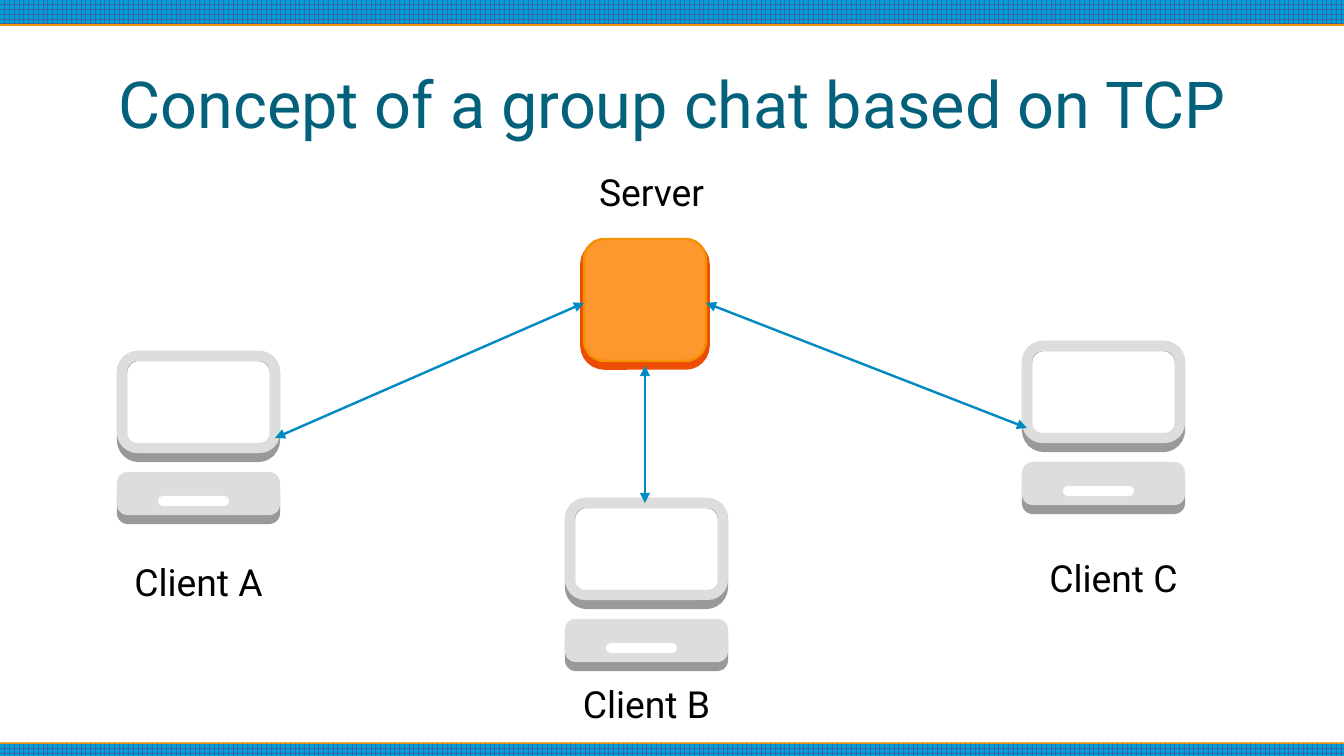
from collections import namedtuple
from dataclasses import dataclass

from lxml import etree
from pptx import Presentation
from pptx import util as u
from pptx.dml.color import RGBColor
from pptx.enum import dml, shapes, text
from pptx.oxml import ns

PX = 7495
Box = namedtuple("Box", "x y w h")


@dataclass(frozen=True)
class Theme:
    font: str = "Roboto"
    title_size: float = 38.2
    label_size: float = 22
    title: str = "04617B"
    label: str = "000000"
    band: str = "009EDA"
    grid: str = "3465A4"
    accent: str = "F49100"
    server: str = "FF972F"
    server_base: str = "FFB66C"
    server_edge: str = "ED4C05"
    case: str = "DDDDDD"
    case_edge: str = "999999"
    slot: str = "FFFFFF"
    link: str = "008AC2"
    thin: float = 1.42
    medium: float = 4.5
    thick: float = 6


THEME = Theme()


def rgb(value):
    return RGBColor.from_string(value)


def emu(*lengths):
    return [u.Emu(length * PX) for length in lengths]


def add_rounded(parent, box, fill, line, width):
    shape = parent.shapes.add_shape(shapes.MSO_SHAPE.ROUNDED_RECTANGLE, *emu(*box))
    shape.shadow.inherit = False
    if fill:
        shape.fill.solid()
        shape.fill.fore_color.rgb = rgb(fill)
    else:
        shape.fill.background()
    shape.line.color.rgb = rgb(line)
    shape.line.width = u.Pt(width)
    etree.SubElement(shape.element.spPr.find(ns.qn("a:ln")), ns.qn("a:round"))


def add_text(page, box, words, size, color, inset):
    frame = page.shapes.add_textbox(*emu(*box)).text_frame
    frame.word_wrap = True
    frame.vertical_anchor = text.MSO_ANCHOR.MIDDLE
    frame.margin_left = frame.margin_top = u.Emu(inset * PX)
    frame.margin_right = frame.margin_bottom = u.Emu(inset * PX)
    para = frame.paragraphs[0]
    para.text = words
    para.alignment = text.PP_ALIGN.CENTER
    para.font.name = THEME.font
    para.font.size = u.Pt(size)
    para.font.color.rgb = rgb(color)


def add_label(page, x, y, words):
    add_text(page, Box(x, y, 153, 61), words, THEME.label_size, THEME.label, 5)


def add_band(page, box, shadow_degrees):
    band = page.shapes.add_shape(shapes.MSO_SHAPE.RECTANGLE, *emu(*box))
    band.fill.patterned()
    band.fill.pattern = dml.MSO_PATTERN.LARGE_GRID
    band.fill.fore_color.rgb = rgb(THEME.grid)
    band.fill.back_color.rgb = rgb(THEME.band)
    band.line.fill.background()
    band.shadow.inherit = False
    effects = band.element.spPr.find(ns.qn("a:effectLst"))
    shadow = etree.SubElement(
        effects, ns.qn("a:outerShdw"), blurRad="0", dist=str(u.Pt(0.9)),
        dir=str(shadow_degrees * 60000), algn="ctr", rotWithShape="0",
    )
    etree.SubElement(shadow, ns.qn("a:srgbClr"), val=THEME.accent)


def add_client(page, box):
    x, y, w, h = box
    depth, tray_height = 9, 33
    tray_y = y + h - tray_height - depth
    computer = page.shapes.add_group_shape()
    parts = [
        (Box(x, y, w, 92 + depth), None, THEME.case_edge),
        (Box(x, y, w, 92), None, THEME.case),
        (Box(x, tray_y + depth, w, tray_height), THEME.case, THEME.case_edge),
        (Box(x, tray_y, w, tray_height), THEME.case, THEME.case),
        (Box(x + 41, tray_y + 24, 61, 0), THEME.band, THEME.slot),
    ]
    for part, fill, line in parts:
        add_rounded(computer, part, fill, line, THEME.thick)


def add_server(page, box):
    server = page.shapes.add_group_shape()
    base = box._replace(y=box.y + 5)
    add_rounded(server, base, THEME.server_base, THEME.server_edge, THEME.medium)
    add_rounded(server, box, THEME.server, THEME.accent, THEME.thin)


def add_link(page, start, end):
    link = page.shapes.add_connector(
        shapes.MSO_CONNECTOR.STRAIGHT, *emu(*start), *emu(*end)
    )
    link.line.color.rgb = rgb(THEME.link)
    link.line.width = u.Pt(THEME.thin)
    outline = link.element.spPr.find(ns.qn("a:ln"))
    for tip in ("a:headEnd", "a:tailEnd"):
        etree.SubElement(outline, ns.qn(tip), type="triangle")
    etree.SubElement(link.element.spPr, ns.qn("a:effectLst"))


def add_network(page, box):
    server = Box(box.x + 462, box.y + 78, 122, 122)
    client_a = Box(box.x, box.y + 195, 153, 163)
    client_b = Box(box.x + 448, box.y + 342, 153, 163)
    client_c = Box(box.x + 905, box.y + 185, 153, 163)

    add_server(page, server)
    for client in (client_a, client_b, client_c):
        add_client(page, client)

    center_x = server.x + server.w // 2
    middle_y = server.y + server.h // 2 + 3
    port = 82
    add_link(page, (center_x, client_b.y), (center_x, server.y + server.h + 5))
    add_link(page, (client_a.x + client_a.w, client_a.y + port), (server.x, middle_y))
    add_link(page, (client_c.x, client_c.y + port), (server.x + server.w, middle_y))

    add_label(page, box.x + 453, box.y, "Server")
    add_label(page, client_a.x, box.y + 390, "Client A")
    add_label(page, client_b.x, box.y + 512, "Client B")
    add_label(page, client_c.x + 10, box.y + 386, "Client C")


def add_chat_page(deck, box):
    page = deck.slides.add_slide(deck.slide_layouts[6])
    add_band(page, Box(box.x, box.y, box.w, 24), 90)
    add_band(page, Box(box.x, box.y + box.h - 12, box.w, 12), 270)
    add_text(
        page, Box(box.x + 72, box.y + 37, 1200, 132),
        "Concept of a group chat based on TCP", THEME.title_size, THEME.title, 0,
    )
    add_network(page, Box(box.x + 122, box.y + 161, 1058, 573))


def main():
    deck = Presentation()
    canvas = Box(0, 0, 1344, 756)
    deck.slide_width, deck.slide_height = emu(canvas.w, canvas.h)
    add_chat_page(deck, canvas)
    deck.save("out.pptx")


if __name__ == "__main__":
    main()
